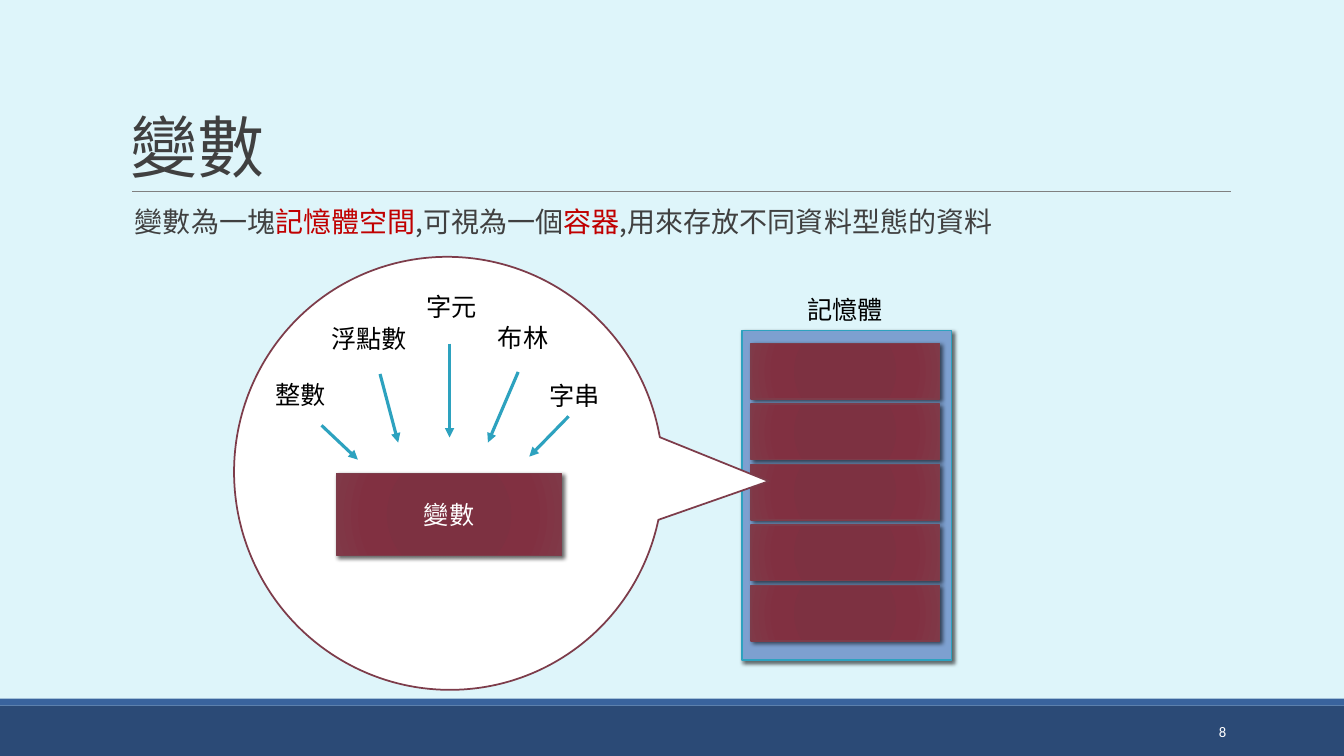
import lxml.etree
import pptx
import pptx.dml.color
import pptx.enum.shapes
import pptx.enum.text
import pptx.oxml
import pptx.oxml.ns
import pptx.util

NS = 'xmlns:a="http://schemas.openxmlformats.org/drawingml/2006/main"'
SHAPE = pptx.enum.shapes.MSO_SHAPE
ALIGN = pptx.enum.text.PP_ALIGN
ANCHOR = pptx.enum.text.MSO_ANCHOR
CJK = "Noto Sans CJK JP"
DARK, RED, WHITE, TEAL, WINE = "404040", "C00000", "FFFFFF", "2DA2BF", "7D3C4A"
WINE_STOPS = [(0, "7E2F40"), (34, "7D3141"), (70, "813041"), (100, "803948")]


def color(target, value):
    """Give a fill, line or font colour object a hex colour."""
    target.rgb = pptx.dml.color.RGBColor.from_string(value)


def place(box, x, y, w=0, h=0):
    """Turn percentages of a box into a left, top, width, height box."""
    left, top, width, height = box
    return (int(left + width * x / 100), int(top + height * y / 100),
            int(width * w / 100), int(height * h / 100))


def xml(markup):
    """Parse a DrawingML fragment."""
    return pptx.oxml.parse_xml(markup.replace(" ", f" {NS} ", 1))


def write(sp, runs, size=18, latin="Calibri", ea=CJK, ink="000000", align=ALIGN.LEFT,
          anchor=ANCHOR.TOP, wrap=True, spacing=None, track=None):
    """Write one paragraph of text or (text, colour) runs into a shape."""
    tf = sp.text_frame
    tf.word_wrap, tf.vertical_anchor = wrap, anchor
    p = tf.paragraphs[0]
    p.alignment, p.line_spacing = align, spacing
    for words, tint in [(runs, ink)] if isinstance(runs, str) else runs:
        r = p.add_run()
        r.text, r.font.size, r.font.name = words, pptx.util.Pt(size), latin
        r.font.fill.solid()
        color(r.font.fill.fore_color, tint)
        rPr = r.font._element
        rPr.append(xml(f'<a:ea typeface="{ea}"/>'))
        if track is not None:
            rPr.set("spc", str(track))
    return p


def text(s, box, runs, **fmt):
    """Add a text box."""
    sp = s.shapes.add_textbox(*box)
    return sp, write(sp, runs, **fmt)


def block(s, box, fill, outline=None, width=1, kind=SHAPE.RECTANGLE, shadow=False):
    """Add a filled shape; a list of stops makes a radial gradient."""
    sp = s.shapes.add_shape(kind, *box)
    if isinstance(fill, str):
        sp.fill.solid()
        color(sp.fill.fore_color, fill)
    else:
        sp.fill.background()
        stops = "".join(f'<a:gs pos="{pos * 1000}"><a:srgbClr val="{tint}"/></a:gs>'
                        for pos, tint in fill)
        spPr = sp._element.spPr
        spPr.replace(spPr.find(pptx.oxml.ns.qn("a:noFill")), xml(
            f'<a:gradFill rotWithShape="1"><a:gsLst>{stops}</a:gsLst><a:path path="circle">'
            '<a:fillToRect l="100000" t="100000" r="100000" b="100000"/></a:path></a:gradFill>'))
    if outline:
        color(sp.line.color, outline)
        sp.line.width = pptx.util.Pt(width)
    else:
        sp.line.fill.background()
    sp.shadow.inherit = False
    if shadow:
        sp._element.spPr.find(pptx.oxml.ns.qn("a:effectLst")).append(xml(
            '<a:outerShdw blurRad="38100" dist="25400" dir="2700000" rotWithShape="0">'
            '<a:srgbClr val="000000"><a:alpha val="60000"/></a:srgbClr></a:outerShdw>'))
    return sp


def line(s, box, start, end, tint, width, arrow=False):
    """Draw a straight line between two points of a box."""
    ends = place(box, *start)[:2] + place(box, *end)[:2]
    c = s.shapes.add_connector(pptx.enum.shapes.MSO_CONNECTOR.STRAIGHT, *ends)
    color(c.line.color, tint)
    c.line.width = pptx.util.Pt(width)
    if arrow:
        c.line._get_or_add_ln().append(xml('<a:tailEnd type="triangle"/>'))
    c._element.spPr.append(xml("<a:effectLst />"))


def frame(s, page, number):
    """Draw the background, footer bands, title rule and page number."""
    s.background.fill.solid()
    color(s.background.fill.fore_color, "DEF5FA")
    block(s, place(page, 0, 93.33, 100, 6.67), "2B4A76")
    block(s, place(page, 0, 92.4, 100, 0.93), "39639D")
    line(s, page, (9.83, 25.33), (91.6, 25.33), "808080", 0.5)
    text(s, place(page, 81.25, 94.13, 10.73, 5.33), number, size=10.5, ink=WHITE,
         align=ALIGN.RIGHT, anchor=ANCHOR.MIDDLE)


def heading(s, page, title, runs):
    """Write the title and the sentence below it."""
    text(s, place(page, 9, 4.13, 82.5, 21.2), title, size=48, latin="Noto Sans CJK SC",
         ea="Noto Sans CJK SC", ink=DARK, anchor=ANCHOR.BOTTOM, spacing=0.85, track=-50)
    sp, p = text(s, place(page, 9, 26.93, 82.5, 58.67), runs, size=20, latin=CJK, spacing=0.9)
    sp.text_frame.margin_left = sp.text_frame.margin_right = 0
    p.space_before, p.space_after = pptx.util.Pt(12), pptx.util.Pt(2)
    pPr = p._p.get_or_add_pPr()
    indent = pptx.util.Inches(0.1)
    pPr.set("marL", str(indent))
    pPr.set("indent", str(-indent))
    pPr.append(xml(f'<a:buClr ><a:srgbClr val="{TEAL}"/></a:buClr>'))
    pPr.append(xml('<a:buChar char=" "/>'))


def memory(s, box, label, cells):
    """Draw the memory block with its label and equal cells."""
    block(s, box, "7DA0D0", TEAL, shadow=True)
    for i in range(cells):
        block(s, place(box, 4.33, 3.98 + 18.35 * i, 89.9, 16.82), WINE_STOPS, WINE, shadow=True)
    text(s, place(box, 26.44, -12.54, 46.15, 12.23), label, wrap=False)


def callout(s, box, name, types):
    """Draw the balloon where each data type points into the variable."""
    sp = block(s, box, WHITE, WINE, 1.25, SHAPE.OVAL_CALLOUT)
    sp.rotation = 252.7
    sp.adjustments[0], sp.adjustments[1] = -0.237, 0.708
    sp = block(s, place(box, 24.19, 50.12, 51.86, 19.06), WINE_STOPS, WINE, shadow=True)
    write(sp, name, ink=WHITE, align=ALIGN.CENTER, anchor=ANCHOR.MIDDLE)
    for label, corner, start, end in types:
        width = 4.87 + 5.82 * len(label)
        text(s, place(box, *corner, width, 9.41), label, wrap=False)
        line(s, box, start, end, TEAL, 2.25, arrow=True)


def main():
    """Build the slide and save it."""
    prs = pptx.Presentation()
    prs.slide_width, prs.slide_height = pptx.util.Inches(13.33), pptx.util.Inches(7.5)
    page = (0, 0, prs.slide_width, prs.slide_height)
    s = prs.slides.add_slide(prs.slide_layouts[6])
    frame(s, page, "8")
    heading(s, page, "變數", [
        ("變數為一塊", DARK), ("記憶體空間", RED), (",可視為一個", DARK),
        ("容器", RED), (",用來存放不同資料型態的資料", DARK)])
    memory(s, place(page, 55.2, 43.73, 15.6, 43.6), "記憶體", 5)
    callout(s, place(page, 17.25, 34.27, 32.26, 56.67), "變數", [
        ("整數", (7.67, 26.82), (20.7, 38.82), (29.07, 46.82)),
        ("浮點數", (20.7, 13.88), (34.19, 26.82), (38.37, 42.82)),
        ("字元", (42.56, 6.35), (50.23, 19.76), (50.23, 41.65)),
        ("布林", (59.07, 13.65), (66.05, 26.35), (59.07, 42.82)),
        ("字串", (70.93, 27.06), (77.67, 36.71), (68.6, 46.12))])
    prs.save("out.pptx")


if __name__ == "__main__":
    main()
